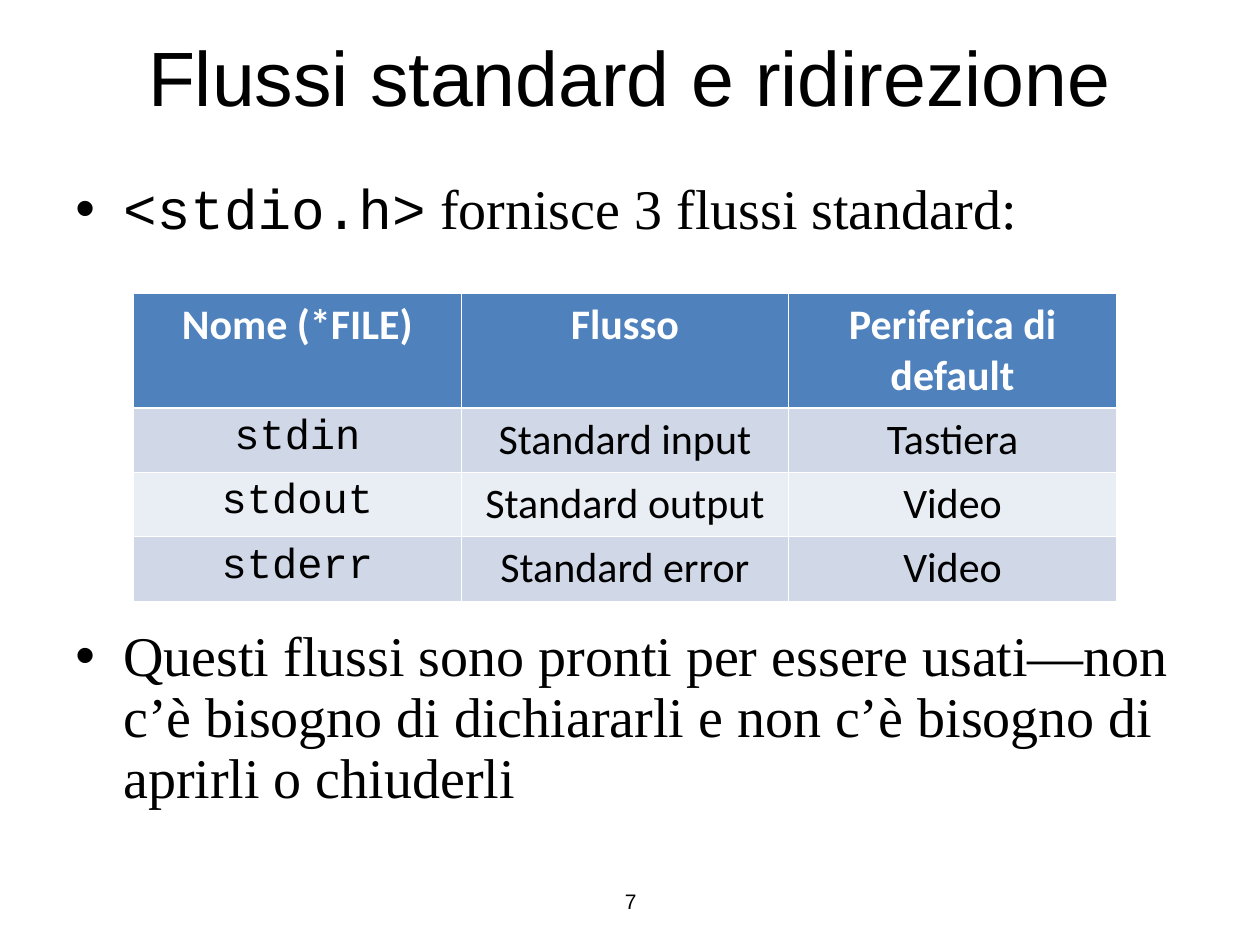
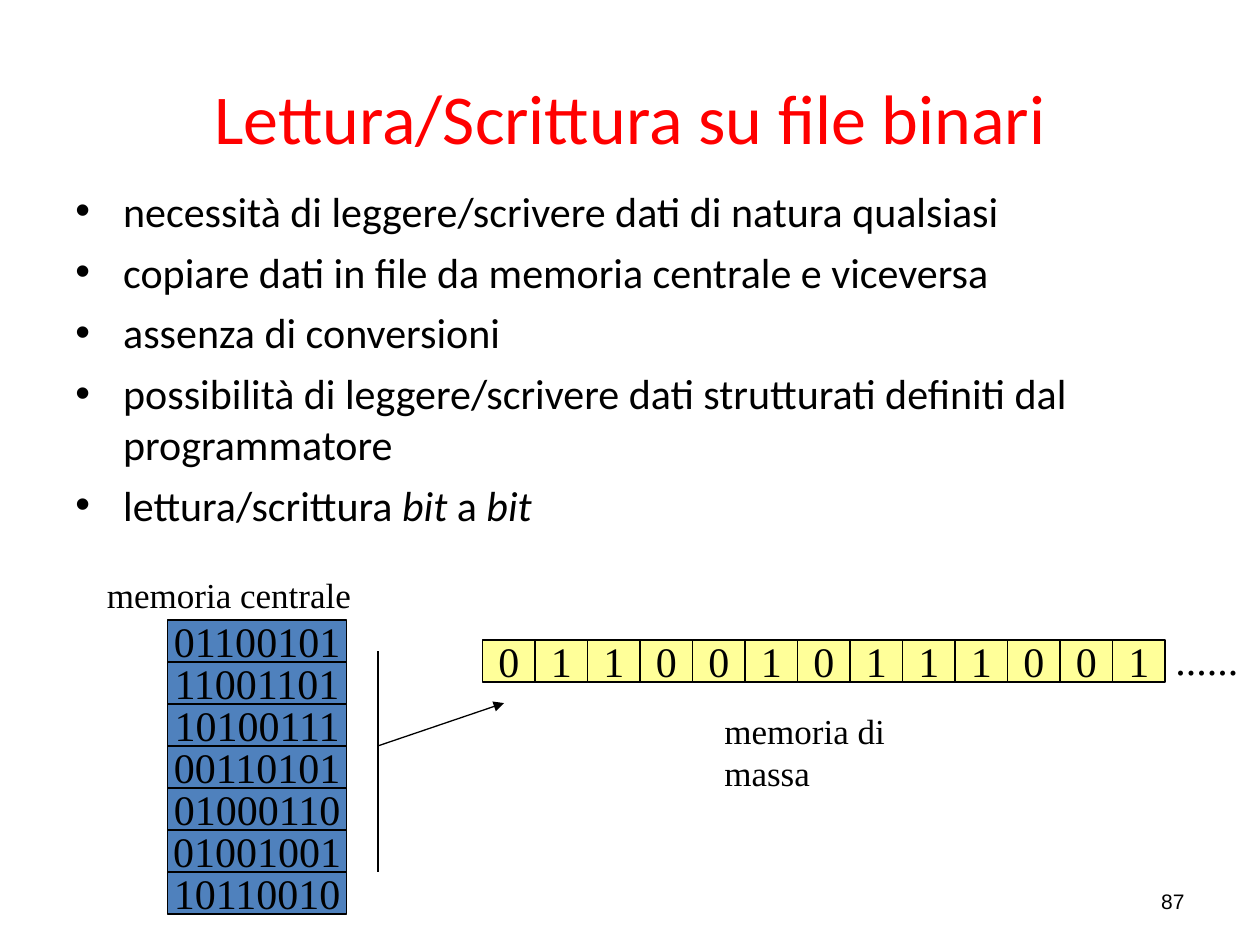
from lxml import etree
from pptx import Presentation
from pptx import util as u
from pptx.dml.color import RGBColor
from pptx.enum import shapes, text
from pptx.oxml import ns

BLACK = RGBColor(0x00, 0x00, 0x00)
WHITE = RGBColor(0xFF, 0xFF, 0xFF)
RED = RGBColor(0xFF, 0x00, 0x00)
BLUE = RGBColor(0x4F, 0x81, 0xBD)
YELLOW = RGBColor(0xFF, 0xFF, 0x99)
BAND_DARK = RGBColor(0xD0, 0xD8, 0xE8)
BAND_LIGHT = RGBColor(0xE9, 0xED, 0xF4)

SANS, BODY, MONO, SERIF = "Arial", "Calibri", "Courier New", "Times New Roman"
LEFT, CENTER, RIGHT = text.PP_ALIGN.LEFT, text.PP_ALIGN.CENTER, text.PP_ALIGN.RIGHT


def sub(parent, tag, **attributes):
    return etree.SubElement(parent, ns.qn(tag), attributes)


def set_font(font, name, size, color=BLACK, bold=False):
    font.name, font.size, font.bold = name, u.Pt(size), bold
    font.color.rgb = color


class Deck:
    """Holds the shared style and the slide being built."""

    def __init__(self):
        self.prs = Presentation()
        self.prs.slide_width, self.prs.slide_height = u.Inches(10), u.Inches(7.5)
        self.slide = None

    def new_slide(self):
        self.slide = self.prs.slides.add_slide(self.prs.slide_layouts[6])

    def box(self, left, top, width, height, wrap=True, anchor=text.MSO_ANCHOR.TOP):
        frame = self.slide.shapes.add_textbox(
            u.Inches(left), u.Inches(top), u.Inches(width), u.Inches(height)).text_frame
        frame.word_wrap = wrap
        frame.vertical_anchor = anchor
        return frame

    def line_of_text(self, frame, words, name, size, color=BLACK, align=LEFT):
        paragraph = frame.paragraphs[0]
        paragraph.text, paragraph.alignment = words, align
        set_font(paragraph.font, name, size, color)

    def title(self, words, top, height, name, size, color):
        frame = self.box(0.5, top, 9, height, anchor=text.MSO_ANCHOR.MIDDLE)
        self.line_of_text(frame, words, name, size, color, CENTER)

    def page_number(self, number, left, width, align):
        frame = self.box(left, 6.95, width, 0.4, anchor=text.MSO_ANCHOR.MIDDLE)
        self.line_of_text(frame, number, SANS, 12, align=align)

    def label(self, words, left, top, width, height, size):
        frame = self.box(left, top, width, height, wrap=False)
        frame.auto_size = text.MSO_AUTO_SIZE.SHAPE_TO_FIT_TEXT
        self.line_of_text(frame, words, SERIF, size)

    def bullet(self, frame, runs, name, size, space_before, line_spacing=1.0):
        """Each run is (words, font name or None, italic)."""
        paragraph = frame.paragraphs[0]
        if paragraph.runs:
            paragraph = frame.add_paragraph()
        props = paragraph._p.get_or_add_pPr()
        props.set("marL", str(u.Inches(0.38)))
        props.set("indent", str(-u.Inches(0.38)))
        sub(props, "a:buFont", typeface=SANS)
        sub(props, "a:buChar", char="•")
        paragraph.space_before = u.Pt(space_before)
        paragraph.line_spacing = line_spacing
        set_font(paragraph.font, name, size)
        for words, run_font, italic in runs:
            run = paragraph.add_run()
            run.text = words
            if run_font:
                run.font.name = run_font
            if italic:
                run.font.italic = True

    def cell(self, left, top, width, height, bits, fill):
        rect = self.slide.shapes.add_shape(
            shapes.MSO_SHAPE.RECTANGLE,
            u.Inches(left), u.Inches(top), u.Inches(width), u.Inches(height))
        rect.shadow.inherit = False
        rect.fill.solid()
        rect.fill.fore_color.rgb = fill
        rect.line.color.rgb, rect.line.width = BLACK, u.Pt(0.75)
        rect.text_frame.word_wrap = False
        rect.text_frame.vertical_anchor = text.MSO_ANCHOR.MIDDLE
        self.line_of_text(rect.text_frame, bits, SERIF, 24, align=CENTER)

    def connector(self, x1, y1, x2, y2, arrow=False):
        link = self.slide.shapes.add_connector(
            shapes.MSO_CONNECTOR.STRAIGHT,
            u.Inches(x1), u.Inches(y1), u.Inches(x2), u.Inches(y2))
        link.line.color.rgb, link.line.width = BLACK, u.Pt(0.75)
        if arrow:
            sub(link.line._get_or_add_ln(), "a:tailEnd", type="triangle")
        sub(link._element.spPr, "a:effectLst")

    def borders(self, cell, top, bottom):
        props = cell._tc.get_or_add_tcPr()
        for side, width in (("L", 0.45), ("R", 0.45), ("T", top), ("B", bottom)):
            edge = sub(props, f"a:ln{side}", w=str(u.Pt(width)))
            sub(sub(edge, "a:solidFill"), "a:srgbClr", val=str(WHITE))

    def table(self, rows, left, top, column_width, row_heights):
        grid = self.slide.shapes.add_table(
            len(rows), len(rows[0]), u.Inches(left), u.Inches(top),
            u.Inches(column_width * len(rows[0])), u.Inches(sum(row_heights))).table
        for column in grid.columns:
            column.width = u.Inches(column_width)
        for r, (row, height) in enumerate(zip(rows, row_heights)):
            grid.rows[r].height = u.Inches(height)
            header = r == 0
            fill = BLUE if header else BAND_DARK if r % 2 else BAND_LIGHT
            for c, words in enumerate(row):
                cell = grid.cell(r, c)
                self.borders(cell, 1.47 if r == 1 else 0.45, 1.47 if header else 0.45)
                cell.fill.solid()
                cell.fill.fore_color.rgb = fill
                paragraph = cell.text_frame.paragraphs[0]
                paragraph.text, paragraph.alignment = words, CENTER
                set_font(paragraph.font, MONO if c == 0 and not header else BODY, 24,
                         WHITE if header else BLACK, header)


def standard_streams(deck):
    deck.new_slide()
    deck.title("Flussi standard e ridirezione", 0.19, 0.82, SANS, 44, BLACK)

    # Bullets, with room for the table between them
    points = deck.box(0.5, 1.39, 9, 5.56)
    deck.bullet(points, [("<stdio.h>", MONO, False),
                         (" fornisce 3 flussi standard:", SERIF, False)],
                SERIF, 32, 8, 0.9)
    deck.bullet(points, [("Questi flussi sono pronti per essere usati—non c’è bisogno di "
                          "dichiararli e non c’è bisogno di aprirli o chiuderli", None, False)],
                SERIF, 32, 221, 0.9)
    deck.page_number("7", 3.42, 3.17, CENTER)

    # Streams and their devices
    streams = [
        ("Nome (*FILE)", "Flusso", "Periferica di default"),
        ("stdin", "Standard input", "Tastiera"),
        ("stdout", "Standard output", "Video"),
        ("stderr", "Standard error", "Video"),
    ]
    deck.table(streams, 1.06, 2.33, 2.6, [0.91, 0.51, 0.51, 0.51])


def binary_files(deck):
    deck.new_slide()
    deck.page_number("87", 7.17, 2.33, RIGHT)
    deck.title("Lettura/Scrittura su file binari", 0.3, 1.25, BODY, 40, RED)

    # Reasons for binary access
    points = deck.box(0.5, 1.42, 9, 2.92)
    for reason in ("necessità di leggere/scrivere dati di natura qualsiasi",
                   "copiare dati in file da memoria centrale e viceversa",
                   "assenza di conversioni",
                   "possibilità di leggere/scrivere dati strutturati definiti dal programmatore"):
        deck.bullet(points, [(reason, None, False)], BODY, 24, 6)
    deck.bullet(points, [("lettura/scrittura ", None, False), ("bit", None, True),
                         (" a ", None, False), ("bit", None, True)], BODY, 24, 6)

    # Main memory: a stack of bytes
    cell_height = 1 / 3
    memory_bytes = ("01100101", "11001101", "10100111", "00110101",
                    "01000110", "01001001", "10110010")
    for i, byte in enumerate(memory_bytes):
        deck.cell(1.33, 4.92 + i * cell_height, 1.42, cell_height, byte, BLUE)
    deck.label("memoria centrale", 0.75, 4.5, 2.14, 0.44, 20)

    # Mass storage: a row of bits
    bit_width = 5 / 12
    for i, bit in enumerate("0110010111001"):
        deck.cell(3.83 + i * bit_width, 5.08, bit_width, cell_height, bit, YELLOW)
    deck.label("memoria di massa", 5.65, 5.58, 2.22, 0.44, 20)
    deck.label("......", 9.23, 4.98, 0.7, 0.5, 24)

    # Transfer from memory to storage
    deck.connector(3, 5.92, 4, 5.58, arrow=True)
    deck.connector(3, 5.17, 3, 6.92)


def main():
    deck = Deck()
    standard_streams(deck)
    binary_files(deck)
    deck.prs.save("out.pptx")


if __name__ == "__main__":
    main()
